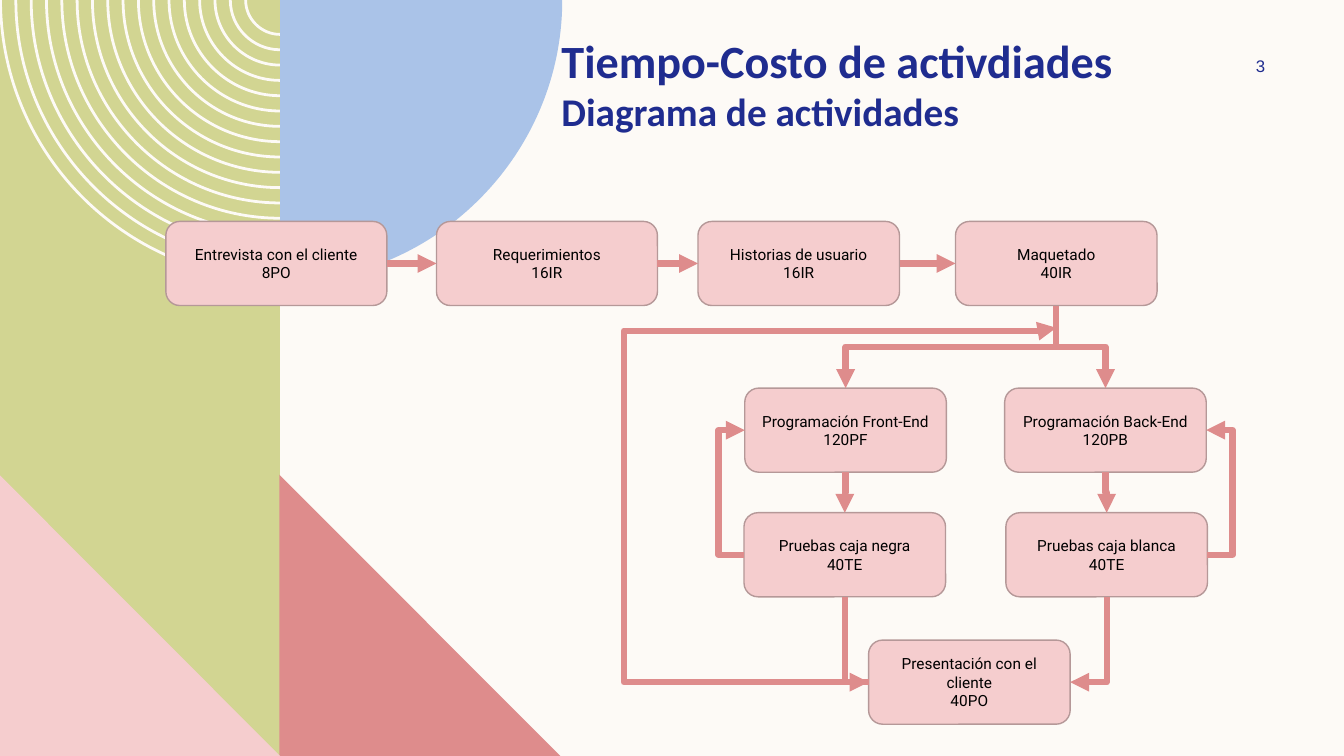
from dataclasses import dataclass

import pptx
import pptx.dml.color
import pptx.enum.shapes
import pptx.enum.text
import pptx.oxml
import pptx.oxml.ns
import pptx.util

Cm = pptx.util.Cm
TOP, LEFT, BOTTOM, RIGHT = range(4)


@dataclass(frozen=True)
class Theme:
    cream: str = "FDFAF6"
    green: str = "D2D592"
    blue: str = "AAC3E8"
    coral: str = "DE8C8C"
    pink: str = "F5CDCE"
    border: str = "B59898"
    navy: str = "1F2C8F"
    black: str = "000000"
    title: int = 33
    subtitle: int = 28
    number: int = 12
    body: int = 11
    arrow: float = 4.5


def rgb(code):
    return pptx.dml.color.RGBColor.from_string(code)


def element(tag):
    return pptx.oxml.parse_xml(f'<a:{tag} {pptx.oxml.ns.nsdecls("a")}/>')


def quarter(cx, rx, ry):
    return [(cx + rx, 0), (cx + rx, 0.55 * ry), (cx + 0.55 * rx, ry), (cx, ry)]


def site(box, side):
    return {
        TOP: (box.left + box.width // 2, box.top),
        LEFT: (box.left, box.top + box.height // 2),
        BOTTOM: (box.left + box.width // 2, box.top + box.height),
        RIGHT: (box.left + box.width, box.top + box.height // 2),
    }[side]


class Deck:
    """Draws styled elements on the current slide."""

    def __init__(self, prs, theme):
        self.theme = theme
        self.s = prs.slides.add_slide(prs.slide_layouts[6])
        self.s.background.fill.solid()
        self.s.background.fill.fore_color.rgb = rgb(theme.cream)

    def region(self, contours, fill, curved=False):
        for i, points in enumerate(contours):
            pts = [(Cm(x), Cm(y)) for x, y in points]
            if i == 0:
                builder = self.s.shapes.build_freeform(*pts[0], scale=1.0)
            else:
                builder.move_to(*pts[0])
            builder.add_line_segments(pts[1:], close=True)
        sp = builder.convert_to_shape()
        sp.shadow.inherit = False
        sp.fill.solid()
        sp.fill.fore_color.rgb = rgb(fill)
        sp.line.fill.background()
        if curved:
            self.bend(sp, contours)

    def bend(self, sp, contours):
        lines = list(sp._element.spPr.iter(pptx.oxml.ns.qn("a:lnTo")))
        first = 0
        for points in contours:
            for k in range(first, first + len(points) - 3, 4):
                curve = element("cubicBezTo")
                lines[k].addprevious(curve)
                for line in lines[k:k + 3]:
                    curve.append(line[0])
                    line.getparent().remove(line)
            first += len(points) - 1

    def run(self, p, text, size, font, color, bold=False):
        r = p.add_run()
        r.text = text
        r.font.size = pptx.util.Pt(size)
        r.font.name = font
        r.font.bold = bold
        r.font.color.rgb = rgb(color)

    def textbox(self, x, y, w, h):
        tf = self.s.shapes.add_textbox(Cm(x), Cm(y), Cm(w), Cm(h)).text_frame
        tf.word_wrap = True
        tf.margin_left = tf.margin_right = tf.margin_top = tf.margin_bottom = 0
        return tf

    def heading(self, x, y, w, h, title, subtitle):
        p = self.textbox(x, y, w, h).paragraphs[0]
        self.run(p, title, self.theme.title, "Calibri", self.theme.navy, True)
        p.add_line_break()
        self.run(p, subtitle, self.theme.subtitle, "Calibri", self.theme.navy, True)

    def page_number(self, x, y, w, h, text):
        tf = self.textbox(x, y, w, h)
        tf.vertical_anchor = pptx.enum.text.MSO_ANCHOR.MIDDLE
        p = tf.paragraphs[0]
        p.alignment = pptx.enum.text.PP_ALIGN.CENTER
        self.run(p, text, self.theme.number, "Arial", self.theme.navy)

    def activity(self, x, y, name, cost, w=5.08):
        kind = pptx.enum.shapes.MSO_SHAPE.ROUNDED_RECTANGLE
        sp = self.s.shapes.add_shape(kind, Cm(x), Cm(y), Cm(w), Cm(2.12))
        sp.shadow.inherit = False
        sp.fill.solid()
        sp.fill.fore_color.rgb = rgb(self.theme.pink)
        sp.line.color.rgb = rgb(self.theme.border)
        sp.line.width = pptx.util.Pt(1)
        tf = sp.text_frame
        tf.word_wrap = True
        tf.vertical_anchor = pptx.enum.text.MSO_ANCHOR.MIDDLE
        for p, text in ((tf.paragraphs[0], name), (tf.add_paragraph(), cost)):
            p.alignment = pptx.enum.text.PP_ALIGN.CENTER
            self.run(p, text, self.theme.body, "Roboto", self.theme.black)
        return sp

    def link(self, box, side, target, end_side=None, bends=3, lane_x=None, lane_y=None):
        x0, y0 = site(box, side)
        x1, y1 = target if end_side is None else site(target, end_side)
        c = self.s.shapes.add_connector(pptx.enum.shapes.MSO_CONNECTOR.ELBOW, x0, y0, x1, y1)
        c.begin_connect(box, side)
        if end_side is not None:
            c.end_connect(target, end_side)
        c.line.color.rgb = rgb(self.theme.coral)
        c.line.width = pptx.util.Pt(self.theme.arrow)
        w, h = abs(x1 - x0), abs(y1 - y0)
        if side == BOTTOM:
            w, h = h, w
            rot, flip_h, flip_v = (270, 1, 0) if x1 > x0 else (90, 0, 0)
        elif y1 < y0 and x1 > x0:
            rot, flip_h, flip_v = 180, 1, 0
        else:
            rot, flip_h, flip_v = 0, int(x1 < x0), int(y1 < y0)
        c.left, c.top = (x0 + x1 - w) // 2, (y0 + y1 - h) // 2
        c.width, c.height = w, h
        qn = pptx.oxml.ns.qn
        pr = c._element.spPr
        xfrm = pr.find(qn("a:xfrm"))
        for key, value in (("rot", rot * 60000), ("flipH", flip_h), ("flipV", flip_v)):
            xfrm.set(key, str(value))
        geom = pr.find(qn("a:prstGeom"))
        geom.set("prst", f"bentConnector{bends}")
        for i, (lane, a, b) in enumerate(((lane_x, x0, x1), (lane_y, y0, y1)), 1):
            if lane is not None:
                gd = element("gd")
                gd.set("name", f"adj{i}")
                gd.set("fmla", f"val {round((Cm(lane) - a) / (b - a) * 100000)}")
                geom.find(qn("a:avLst")).append(gd)
        tail = element("tailEnd")
        tail.set("type", "triangle")
        pr.find(qn("a:ln")).append(tail)
        pr.append(element("effectLst"))


def draw_backdrop(d):
    t, edge, bottom = d.theme, 7.06, 19.05
    d.region([[(0, 0), (edge, 0), (edge, bottom), (0, bottom)]], t.green)
    radii = [7.08 - 0.386 * i for i in range(17)]
    rings = [quarter(edge, -r, r) + quarter(edge, 0.07 - r, r - 0.07)[::-1] for r in radii]
    d.region(rings, t.cream, curved=True)
    d.region([quarter(edge, 7.11, 7.11) + [(edge, 0)]], t.blue, curved=True)
    for x, fill in ((edge - 0.02, t.coral), (-0.02, t.pink)):
        d.region([[(x, 11.96), (x + 7.08, bottom), (x, bottom)]], fill)


def draw_activities(d):
    row1, row2, row3, row4 = 5.58, 9.78, 12.92, 16.13
    interview = d.activity(4.18, row1, "Entrevista con el cliente", "8PO", 5.57)
    needs = d.activity(11, row1, "Requerimientos", "16IR", 5.57)
    stories = d.activity(17.59, row1, "Historias de usuario", "16IR")
    mockup = d.activity(24.08, row1, "Maquetado", "40IR")
    front = d.activity(18.77, row2, "Programación Front-End", "120PF")
    back = d.activity(25.32, row2, "Programación Back-End", "120PB")
    black_box = d.activity(18.75, row3, "Pruebas caja negra", "40TE")
    white_box = d.activity(25.35, row3, "Pruebas caja blanca", "40TE")
    demo = d.activity(21.89, row4, "Presentación con el cliente", "40PO")

    flow = [interview, needs, stories, mockup]
    for a, b in zip(flow, flow[1:]):
        d.link(a, RIGHT, b, LEFT)
    branches = ((front, black_box, LEFT, 18.11), (back, white_box, RIGHT, 31.06))
    for code, test, side, lane in branches:
        d.link(mockup, BOTTOM, code, TOP)
        d.link(code, BOTTOM, test, TOP)
        d.link(test, side, code, side, lane_x=lane)
        d.link(test, BOTTOM, demo, side, bends=2)
    d.link(demo, LEFT, (Cm(26.62), Cm(8.26)), bends=4, lane_x=15.72, lane_y=8.33)


def main():
    prs = pptx.Presentation()
    prs.slide_width, prs.slide_height = Cm(33.87), Cm(19.05)
    d = Deck(prs, Theme())
    draw_backdrop(d)
    d.heading(14.15, 0.81, 17.63, 2.11, "Tiempo-Costo de activdiades", "Diagrama de actividades")
    d.page_number(30.4, 1.27, 2.74, 0.76, "3")
    draw_activities(d)
    prs.save("out.pptx")


if __name__ == "__main__":
    main()
